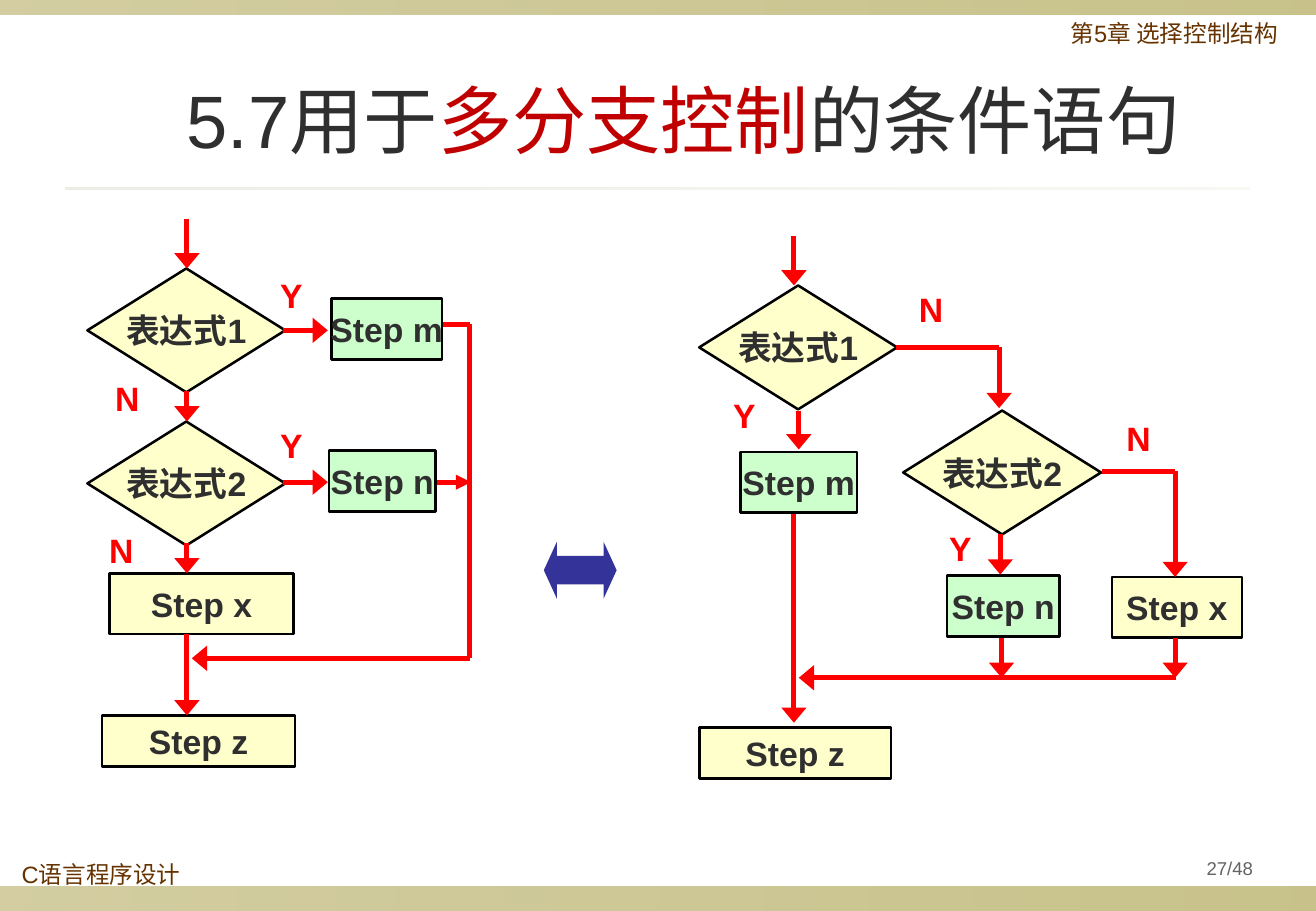
"""Builds a slide with two equivalent flowcharts of a multi-branch condition."""
from dataclasses import dataclass

import pptx
import pptx.dml.color
import pptx.enum.shapes
import pptx.enum.text
import pptx.oxml
import pptx.oxml.ns
import pptx.util
from lxml import etree

RGB = pptx.dml.color.RGBColor
SHAPE = pptx.enum.shapes.MSO_SHAPE
ALIGN = pptx.enum.text.PP_ALIGN
ANCHOR = pptx.enum.text.MSO_ANCHOR
qn = pptx.oxml.ns.qn

OLIVE = RGB(0x91, 0x84, 0x15)
STONE = RGB(0xDC, 0xD9, 0xCC)
BROWN = RGB(0x66, 0x33, 0x00)
INK = RGB(0x2F, 0x2F, 0x2F)
GREY = RGB(0x63, 0x63, 0x63)
CRIMSON = RGB(0xC0, 0x00, 0x00)
RED = RGB(0xFF, 0x00, 0x00)
BLACK = RGB(0x00, 0x00, 0x00)
CREAM = RGB(0xFF, 0xFF, 0xCC)
MINT = RGB(0xCC, 0xFF, 0xCC)
NAVY = RGB(0x33, 0x33, 0x99)

LATIN, CJK = "Arial", "Noto Sans CJK SC"
CELL = 0.1
COLS, ROWS = 108.4, 75

Box = tuple[float, float, float, float]
Point = tuple[float, float]


@dataclass(frozen=True)
class Run:
    text: str
    color: RGB = INK
    font: str = LATIN


@dataclass(frozen=True)
class Node:
    box: Box
    runs: tuple[Run, ...]
    fill: RGB = CREAM
    shape: SHAPE = SHAPE.RECTANGLE


@dataclass(frozen=True)
class Flow:
    points: tuple[Point, ...]
    head_width: str = "lg"


@dataclass(frozen=True)
class Branch:
    text: str
    col: float
    row: float


@dataclass(frozen=True)
class Chart:
    nodes: tuple[Node, ...]
    flows: tuple[Flow, ...]
    branches: tuple[Branch, ...]


@dataclass(frozen=True)
class Band:
    box: Box
    color: RGB
    opacity: tuple[int, int]


@dataclass(frozen=True)
class Caption:
    box: Box
    runs: tuple[Run, ...]
    size: float
    align: ALIGN = ALIGN.LEFT
    anchor: ANCHOR = ANCHOR.TOP
    spacing: float = 0.9


def step(name: str, box: Box, fill: RGB = CREAM) -> Node:
    return Node(box, (Run(f"Step {name}"),), fill)


def test(number: int, col: float, row: float) -> Node:
    runs = (Run("表达式", font=CJK), Run(str(number)))
    return Node((col, row, 16.3, 10.2), runs, shape=SHAPE.DIAMOND)


BANDS = (
    Band((0, 73, COLS, 2), OLIVE, (40, 50)),
    Band((0, 0, COLS, 1.2), OLIVE, (40, 50)),
    Band((5.4, 15.4, 97.5, 0.2), STONE, (50, 20)),
)
CAPTIONS = (
    Caption((87.2, 1.3, 20.5, 3.9), (Run("第5章 选择控制结构", BROWN),), 14),
    Caption((0.8, 70.6, 23.5, 3.9), (Run("C语言程序设计", BROWN),), 14),
    Caption((4.7, 5.2, 103.2, 9.2),
            (Run("5.7用于"), Run("多分支控制", CRIMSON), Run("的条件语句")),
            44, ALIGN.CENTER, ANCHOR.MIDDLE, 1),
    Caption((95.9, 70, 10.8, 3.1), (Run("27/48", GREY),), 11, ALIGN.CENTER, ANCHOR.MIDDLE),
)
CHAIN = Chart(
    nodes=(
        test(1, 7.2, 22.1),
        test(2, 7.2, 34.7),
        step("m", (27.3, 24.6, 9.1, 5), MINT),
        step("n", (27.1, 37.1, 8.8, 5), MINT),
        step("x", (9, 47.2, 15.2, 5)),
        step("z", (8.4, 58.9, 15.9, 4.2)),
    ),
    flows=(
        Flow(((15.4, 18), (15.4, 22.1))),
        Flow(((15.4, 32.2), (15.4, 34.7))),
        Flow(((15.4, 44.7), (15.4, 47.2))),
        Flow(((15.4, 52.2), (15.4, 58.9))),
        Flow(((23.3, 27.2), (27, 27.2))),
        Flow(((23.3, 39.7), (27, 39.7))),
        Flow(((36, 39.7), (38.8, 39.7)), "med"),
        Flow(((36.5, 26.7), (38.7, 26.7), (38.7, 54.2), (15.8, 54.2))),
    ),
    branches=(Branch("Y", 22.1, 22.1), Branch("N", 8.5, 30.6),
              Branch("Y", 22.1, 34.5), Branch("N", 8, 43.1)),
)
NESTED = Chart(
    nodes=(
        test(1, 57.6, 23.5),
        test(2, 74.4, 33.8),
        step("m", (61, 37.2, 9.6, 5), MINT),
        step("n", (78, 47.4, 9.3, 5), MINT),
        step("x", (91.6, 47.5, 10.7, 5)),
        step("z", (57.6, 59.9, 15.8, 4.2)),
    ),
    flows=(
        Flow(((65.4, 19.4), (65.4, 23.5))),
        Flow(((65.8, 33.8), (65.8, 37))),
        Flow(((65.4, 42.3), (65.4, 59.5))),
        Flow(((73.8, 28.6), (82.3, 28.6), (82.3, 33.6))),
        Flow(((82.4, 44), (82.4, 47.3))),
        Flow(((90.8, 38.8), (96.8, 38.8), (96.8, 47.5))),
        Flow(((82.5, 52.5), (82.5, 55.8))),
        Flow(((96.8, 52.5), (96.8, 55.8))),
        Flow(((96.9, 55.8), (65.8, 55.8))),
    ),
    branches=(Branch("N", 74.7, 23.3), Branch("Y", 59.4, 32),
              Branch("N", 91.8, 33.9), Branch("Y", 77.2, 43)),
)


def grid(*cells: float) -> list[int]:
    return [pptx.util.Inches(n * CELL) for n in cells]


def write(tf, runs: tuple[Run, ...], size: float, align: ALIGN, bold: bool = False):
    p = tf.paragraphs[0]
    p.alignment = align
    for run in runs:
        r = p.add_run()
        r.text = run.text
        r.font.size = pptx.util.Pt(size)
        r.font.bold = bold
        r.font.name = run.font
        r.font.color.rgb = run.color
        etree.SubElement(r.font._element, qn("a:ea"), typeface=CJK)
    return p


def draw_band(shapes, band: Band) -> None:
    sp = shapes.add_shape(SHAPE.RECTANGLE, *grid(*band.box))
    sp.shadow.inherit = False
    sp.line.fill.background()
    sp.fill.gradient()
    sp.fill.gradient_angle = 0
    for stop, position, opacity in zip(sp.fill.gradient_stops, (0, 1), band.opacity):
        stop.position = position
        stop.color.rgb = band.color
    for color, opacity in zip(sp._element.iter(qn("a:srgbClr")), band.opacity):
        etree.SubElement(color, qn("a:alpha"), val=str(opacity * 1000))


def draw_caption(shapes, caption: Caption) -> None:
    tf = shapes.add_textbox(*grid(*caption.box)).text_frame
    tf.word_wrap = True
    tf.vertical_anchor = caption.anchor
    p = write(tf, caption.runs, caption.size, caption.align)
    p.line_spacing = caption.spacing


def draw_node(shapes, node: Node) -> None:
    sp = shapes.add_shape(node.shape, *grid(*node.box))
    sp.shadow.inherit = False
    sp.fill.solid()
    sp.fill.fore_color.rgb = node.fill
    sp.line.color.rgb = BLACK
    sp.line.width = pptx.util.Pt(1.5)
    sp.text_frame.word_wrap = False
    sp.text_frame.vertical_anchor = ANCHOR.MIDDLE
    write(sp.text_frame, node.runs, 20, ALIGN.CENTER, True)


def draw_flow(shapes, flow: Flow) -> None:
    for start, end in zip(flow.points, flow.points[1:]):
        line = shapes.add_connector(pptx.enum.shapes.MSO_CONNECTOR.STRAIGHT, *grid(*start, *end))
        line.line.color.rgb = RED
        line.line.width = pptx.util.Pt(3)
        etree.SubElement(line._element.spPr, qn("a:effectLst"))
    etree.SubElement(line.line._get_or_add_ln(), qn("a:tailEnd"),
                     type="triangle", w=flow.head_width, len="med")


def draw_branch(shapes, branch: Branch) -> None:
    tf = shapes.add_textbox(*grid(branch.col, branch.row, 4, 4.4)).text_frame
    tf.word_wrap = False
    write(tf, (Run(branch.text, RED),), 20, ALIGN.LEFT, True)


def draw_chart(shapes, chart: Chart) -> None:
    group = shapes.add_group_shape().shapes
    for items, draw in ((chart.nodes, draw_node), (chart.flows, draw_flow),
                        (chart.branches, draw_branch)):
        for item in items:
            draw(group, item)


def draw_equivalence(shapes) -> None:
    sp = shapes.add_shape(SHAPE.LEFT_RIGHT_ARROW, *grid(44.8, 44.6, 6, 4.7))
    sp.shadow.inherit = False
    sp.adjustments[0], sp.adjustments[1] = 0.5, 0.23
    sp.fill.solid()
    sp.fill.fore_color.rgb = NAVY
    sp.line.fill.background()


def main() -> None:
    prs = pptx.Presentation()
    prs.slide_width, prs.slide_height = grid(COLS, ROWS)
    shapes = prs.slides.add_slide(prs.slide_layouts[6]).shapes
    for band in BANDS:
        draw_band(shapes, band)
    for caption in CAPTIONS:
        draw_caption(shapes, caption)
    for chart in (CHAIN, NESTED):
        draw_chart(shapes, chart)
    draw_equivalence(shapes)
    prs.save("out.pptx")


if __name__ == "__main__":
    main()
